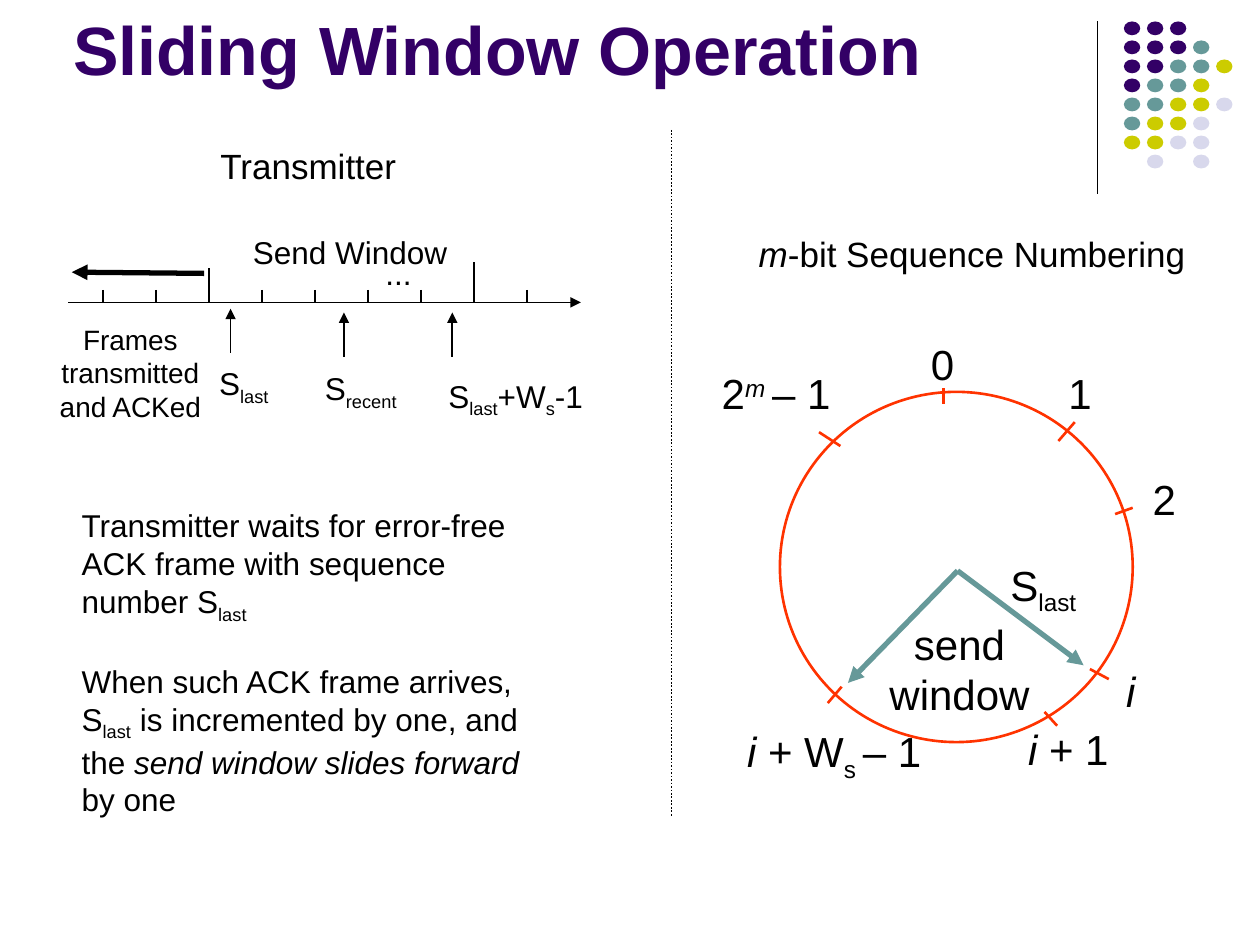
from dataclasses import dataclass

from lxml import etree
from pptx import Presentation
from pptx.dml.color import RGBColor
from pptx.enum.dml import MSO_LINE
from pptx.enum.shapes import MSO_CONNECTOR, MSO_SHAPE
from pptx.enum.text import MSO_ANCHOR, MSO_AUTO_SIZE, PP_ALIGN
from pptx.oxml.ns import qn
from pptx.util import Inches, Pt

LEFT, CENTER = PP_ALIGN.LEFT, PP_ALIGN.CENTER
STRAIGHT, OVAL = MSO_CONNECTOR.STRAIGHT, MSO_SHAPE.OVAL
DOTTED = MSO_LINE.ROUND_DOT


@dataclass(frozen=True)
class Theme:
    font: str = "Arial"
    ink: str = "000000"
    purple: str = "330066"
    teal: str = "669999"
    lime: str = "CCCC00"
    mist: str = "D8D8EC"
    ring: str = "FF3300"
    title: int = 39
    ring_label: int = 24
    heading: int = 20
    body: int = 18
    small: int = 16


THEME = Theme()
BASELINES = {"sub": "-25000", "sup": "30000"}

# Each paragraph is a list of (text, styles) runs
S_LAST = [("S", ""), ("last", "sub")]
NOTES = [
    [("Transmitter waits for error-free ACK frame with sequence number S", ""),
     ("last", "sub")],
    [("When such ACK frame arrives, S", ""), ("last", "sub"),
     (" is incremented by one, and the ", ""),
     ("send window slides forward", "i"), (" by one", "")],
]

# P purple, T teal, L lime, M mist
DOT_ROWS = ["PPP", "PPPT", "PPTTL", "PTTL", "TTLLM", "TLLM", "LLMM", " M M"]
DOT_COLORS = {"P": THEME.purple, "T": THEME.teal,
              "L": THEME.lime, "M": THEME.mist}

RING_TICKS = [
    ((7.49, 3.08), (7.49, 3.21)), ((8.53, 3.35), (8.4, 3.5)),
    ((8.99, 4.03), (8.85, 4.08)), ((8.8, 5.39), (8.65, 5.31)),
    ((8.29, 5.65), (8.39, 5.76)), ((6.57, 5.58), (6.68, 5.45)),
    ((6.5, 3.43), (6.67, 3.54)),
]
RING_LABELS = [
    ((7.29, 2.64, 0.38, 0.5), [[("0", "")]]),
    ((8.38, 2.87, 0.38, 0.5), [[("1", "")]]),
    ((9.05, 3.71, 0.38, 0.5), [[("2", "")]]),
    ((8.84, 5.23, 0.27, 0.5), [[("i", "i")]]),
    ((8.06, 5.69, 0.84, 0.5), [[("i", "i"), (" + 1", "")]]),
    ((5.63, 2.87, 1.06, 0.5), [[("2", ""), ("m ", "i sup"), ("– 1", "")]]),
    ((7.92, 4.39, 0.72, 0.56), [S_LAST]),
    ((6.96, 4.86, 1.31, 0.9), [[("send", "")], [("window", "")]]),
]
POINTERS = [  # arrow x, arrow top, label box, label runs
    (1.83, 2.45, (1.64, 2.84, 0.59, 0.44), S_LAST),
    (2.73, 2.48, (2.48, 2.88, 0.77, 0.44), [("S", ""), ("recent", "sub")]),
    (3.59, 2.48, (3.46, 2.94, 1.27, 0.44),
     S_LAST + [("+W", ""), ("s", "sub"), ("-1", "")]),
]


def rgb(color):
    return RGBColor.from_string(color)


def add_run(p, text, styles, size, color=THEME.ink, bold=False):
    r = p.add_run()
    r.text = text
    r.font.name, r.font.size, r.font.bold = THEME.font, Pt(size), bold
    r.font.color.rgb = rgb(color)
    for style in styles.split():
        if style == "i":
            r.font.italic = True
        else:
            r._r.get_or_add_rPr().set("baseline", BASELINES[style])


def add_text(s, box, paragraphs, size, align=LEFT, wrap=False, gap=0):
    tf = s.shapes.add_textbox(*map(Inches, box)).text_frame
    tf.word_wrap = wrap
    tf.auto_size = MSO_AUTO_SIZE.SHAPE_TO_FIT_TEXT
    for i, runs in enumerate(paragraphs):
        p = tf.add_paragraph() if i else tf.paragraphs[0]
        p.alignment = align
        if i and gap:
            p.space_before = Pt(gap)
        for text, styles in runs:
            add_run(p, text, styles, size)


def add_line(s, start, end, color=THEME.ink, width=1, arrow=False, dash=None):
    sp = s.shapes.add_connector(STRAIGHT, *map(Inches, (*start, *end)))
    sp.line.color.rgb = rgb(color)
    sp.line.width = Pt(width)
    if dash:
        sp.line.dash_style = dash
    if arrow:
        ln = sp.line._get_or_add_ln()
        etree.SubElement(ln, qn("a:tailEnd"), type="triangle")
    etree.SubElement(sp._element.spPr, qn("a:effectLst"))


def add_oval(s, box, fill=None, line=None):
    sp = s.shapes.add_shape(OVAL, *map(Inches, box))
    sp.shadow.inherit = False
    if fill:
        sp.fill.solid()
        sp.fill.fore_color.rgb = rgb(fill)
    else:
        sp.fill.background()
    if line:
        sp.line.color.rgb = rgb(line)
        sp.line.width = Pt(1.5)
    else:
        sp.line.fill.background()


def set_title(s, text):
    sp = s.shapes.title
    sp.left, sp.top, sp.width, sp.height = map(
        Inches, (0.48, -0.36, 8.25, 1.12))
    tf = sp.text_frame
    tf.auto_size = MSO_AUTO_SIZE.NONE
    tf.vertical_anchor = MSO_ANCHOR.BOTTOM
    p = tf.paragraphs[0]
    p.alignment = LEFT
    add_run(p, text, "", THEME.title, THEME.purple, bold=True)


def draw_decoration(s):
    add_line(s, (8.71, 0.17), (8.71, 1.54), width=0.75)
    for row, codes in enumerate(DOT_ROWS):
        for col, code in enumerate(codes):
            if code in DOT_COLORS:
                box = (8.92 + 0.183 * col, 0.17 + 0.151 * row, 0.13, 0.11)
                add_oval(s, box, fill=DOT_COLORS[code])


def draw_ring(s):
    add_text(s, (5.92, 1.8, 3.59, 0.44),
             [[("m", "i"), ("-bit Sequence Numbering", "")]],
             THEME.heading, CENTER)
    add_oval(s, (6.19, 3.11, 2.8, 2.78), line=THEME.ring)
    for start, end in RING_TICKS:
        add_line(s, start, end, THEME.ring, 1.5)
    for end in ((8.6, 5.28), (6.73, 5.42)):
        add_line(s, (7.6, 4.53), end, THEME.teal, 3, arrow=True)
    for box, paragraphs in RING_LABELS:
        add_text(s, box, paragraphs, THEME.ring_label, CENTER)
    add_text(s, (5.8, 5.71, 1.64, 0.56),
             [[("i ", "i"), ("+ W", ""), ("s ", "sub"), ("– 1 ", "")]],
             THEME.ring_label, CENTER, wrap=True)


def draw_timeline(s):
    add_text(s, (1.65, 1.1, 1.61, 0.43), [[("Transmitter", "")]],
             THEME.heading)
    # Axis, with taller ticks at both edges of the send window
    add_line(s, (0.54, 2.4), (4.61, 2.4), arrow=True)
    window_tops = {2: 2.13, 7: 2.08}
    for i in range(9):
        x = 0.82 + 0.42 * i
        add_line(s, (x, window_tops.get(i, 2.3)), (x, 2.4))
    add_line(s, (1.62, 2.17), (0.57, 2.16), width=3, arrow=True)
    # Pointers and labels
    for x, top, box, runs in POINTERS:
        add_line(s, (x, top + 0.35), (x, top), arrow=True)
        add_text(s, box, [runs], THEME.body)
    add_text(s, (2.96, 1.97, 0.41, 0.4), [[("...", "")]], THEME.body)
    add_text(s, (1.91, 1.8, 1.74, 0.4), [[("Send Window", "")]], THEME.body)
    add_text(s, (0.37, 2.51, 1.33, 0.9),
             [[(t, "")] for t in ("Frames", "transmitted", "and ACKed")],
             THEME.small, CENTER)


def main():
    prs = Presentation()
    prs.slide_width, prs.slide_height = Inches(10), Inches(7.5)
    s = prs.slides.add_slide(prs.slide_layouts[5])
    draw_decoration(s)
    add_line(s, (5.33, 1.03), (5.33, 6.48), dash=DOTTED)
    set_title(s, "Sliding Window Operation")
    add_text(s, (0.55, 3.97, 3.86, 2.58), NOTES, THEME.body,
             wrap=True, gap=21)
    draw_ring(s)
    draw_timeline(s)
    prs.save("out.pptx")


if __name__ == "__main__":
    main()
